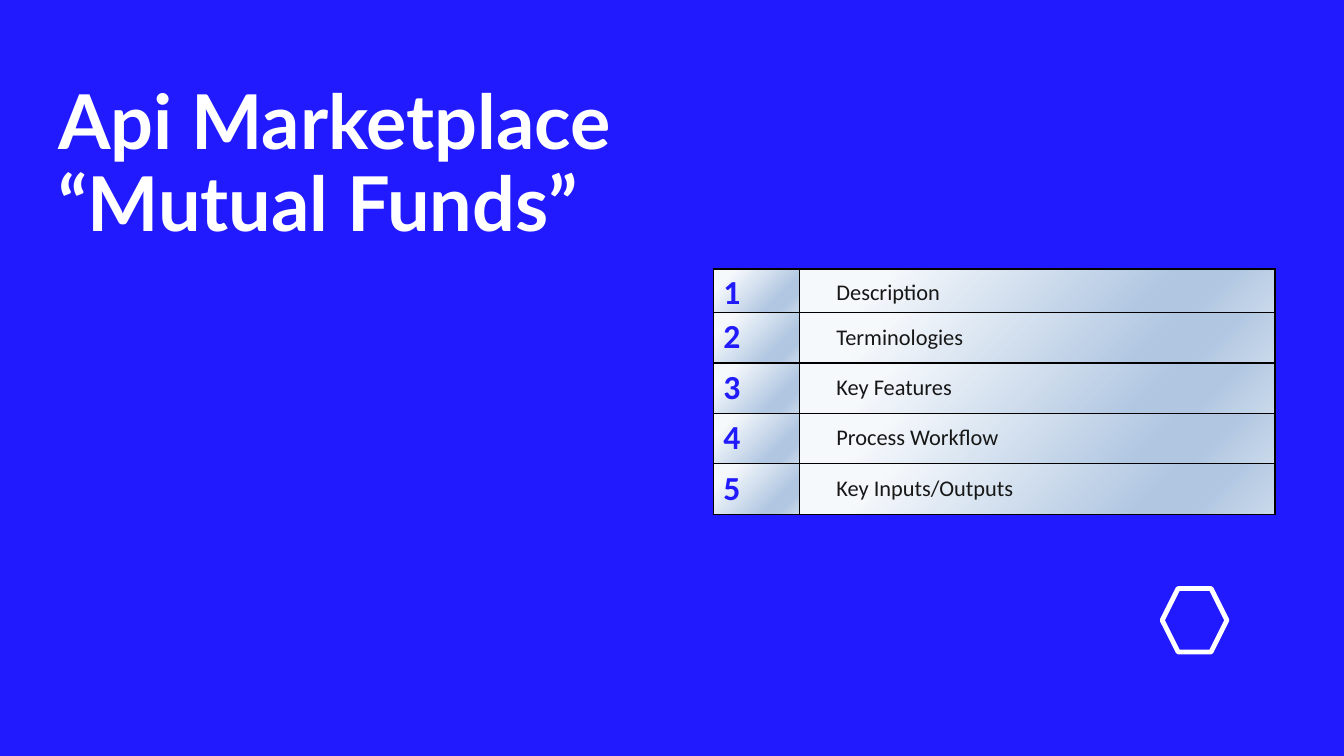
"""Build the agenda slide of the mutual funds API deck."""
from lxml.etree import SubElement
from pptx import Presentation
from pptx.dml.color import RGBColor
from pptx.enum.shapes import MSO_SHAPE
from pptx.enum.text import MSO_ANCHOR, MSO_AUTO_SIZE, PP_ALIGN
from pptx.oxml.ns import qn
from pptx.util import Cm, Pt

BLUE = RGBColor(0x22, 0x1A, 0xFF)
NUMBER_BLUE = RGBColor(0x21, 0x1A, 0xFA)
WHITE = RGBColor(0xFF, 0xFF, 0xFF)
BLACK = RGBColor(0x00, 0x00, 0x00)
INK = RGBColor(0x17, 0x17, 0x17)
PALE = RGBColor(0xF6, 0xF9, 0xFC)
STEEL = RGBColor(0xB0, 0xC6, 0xE1)
MIST = RGBColor(0xCA, 0xD9, 0xEB)
GRADIENT_STOPS = [(17, PALE), (74, STEEL), (83, STEEL), (100, MIST)]
TOPICS = ["Description", "Terminologies", "Key Features",
          "Process Workflow", "Key Inputs/Outputs"]


def write_text(frame, text, *, font, size, color, bold=False, line_spacing=None):
    """Fill a text frame with one left-aligned, formatted paragraph."""
    frame.text = text
    para = frame.paragraphs[0]
    para.alignment = PP_ALIGN.LEFT
    para.line_spacing = line_spacing
    para.space_before = Pt(0)
    for span in para.runs:
        span.font.name = font
        span.font.size = Pt(size)
        span.font.bold = bold
        span.font.color.rgb = color


def add_color(parent, color):
    """Append an RGB colour element."""
    SubElement(parent, qn("a:srgbClr"), val=str(color))


def style_cell(cell):
    """Give a cell thin black borders and a diagonal gradient."""
    properties = cell._tc.get_or_add_tcPr()
    for side in ("a:lnL", "a:lnR", "a:lnT", "a:lnB"):
        border = SubElement(properties, qn(side), w=str(Pt(1)))
        add_color(SubElement(border, qn("a:solidFill")), BLACK)
    gradient = SubElement(properties, qn("a:gradFill"), rotWithShape="1")
    stops = SubElement(gradient, qn("a:gsLst"))
    for percent, color in GRADIENT_STOPS:
        add_color(SubElement(stops, qn("a:gs"), pos=str(percent * 1000)), color)
    SubElement(gradient, qn("a:lin"), ang=str(45 * 60000), scaled="0")


def fill_cell(cell, text, *, left, top, **text_format):
    """Write and style one agenda cell."""
    cell.margin_left, cell.margin_top = left, top
    cell.margin_right = cell.margin_bottom = 0
    write_text(cell.text_frame, text, font="Calibri", **text_format)
    style_cell(cell)


def add_title(page, text):
    """Place and format the title placeholder."""
    title = page.shapes.title
    title.left, title.top = Cm(1.47), Cm(1.8)
    title.width, title.height = Cm(16.31), Cm(4.42)
    frame = title.text_frame
    frame.margin_left = frame.margin_right = frame.margin_bottom = 0
    frame.margin_top = Cm(0.3)
    frame.vertical_anchor = MSO_ANCHOR.TOP
    frame.word_wrap = True
    frame.auto_size = MSO_AUTO_SIZE.SHAPE_TO_FIT_TEXT
    write_text(frame, text, font="Lato", size=54, color=WHITE, bold=True,
               line_spacing=Pt(58.3))


def add_agenda(page, topics):
    """Add the numbered agenda table."""
    heights = [Cm(1.09)] + [Cm(1.27)] * (len(topics) - 1)
    widths = [Cm(2.16), Cm(11.99)]
    table = page.shapes.add_table(len(topics), 2, Cm(17.98), Cm(6.78),
                                  sum(widths), sum(heights)).table
    table.first_row = table.horz_banding = False
    for column, width in zip(table.columns, widths):
        column.width = width
    for index, (topic, height) in enumerate(zip(topics, heights)):
        table.rows[index].height = height
        drop = Cm(0.03) if index else 0
        fill_cell(table.cell(index, 0), str(index + 1), left=Cm(0.25),
                  top=Cm(0.08) + drop, size=24, color=NUMBER_BLUE, bold=True)
        fill_cell(table.cell(index, 1), topic, left=Cm(0.94),
                  top=Cm(0.25) + drop, size=16, color=INK)


def add_emblem(page):
    """Add a plain outlined hexagon as the emblem."""
    emblem = page.shapes.add_shape(MSO_SHAPE.HEXAGON, Cm(29.29), Cm(14.83),
                                   Cm(1.63), Cm(1.6))
    emblem.shadow.inherit = False
    emblem.fill.background()
    emblem.line.color.rgb = WHITE
    emblem.line.width = Pt(3.5)


def main():
    """Build and save the deck."""
    deck = Presentation()
    deck.slide_width, deck.slide_height = Cm(33.87), Cm(19.05)
    page = deck.slides.add_slide(deck.slide_layouts.get_by_name("Title Only"))
    page.background.fill.solid()
    page.background.fill.fore_color.rgb = BLUE
    add_emblem(page)
    add_title(page, "Api Marketplace\v“Mutual Funds”")
    add_agenda(page, TOPICS)
    deck.save("out.pptx")


if __name__ == "__main__":
    main()
